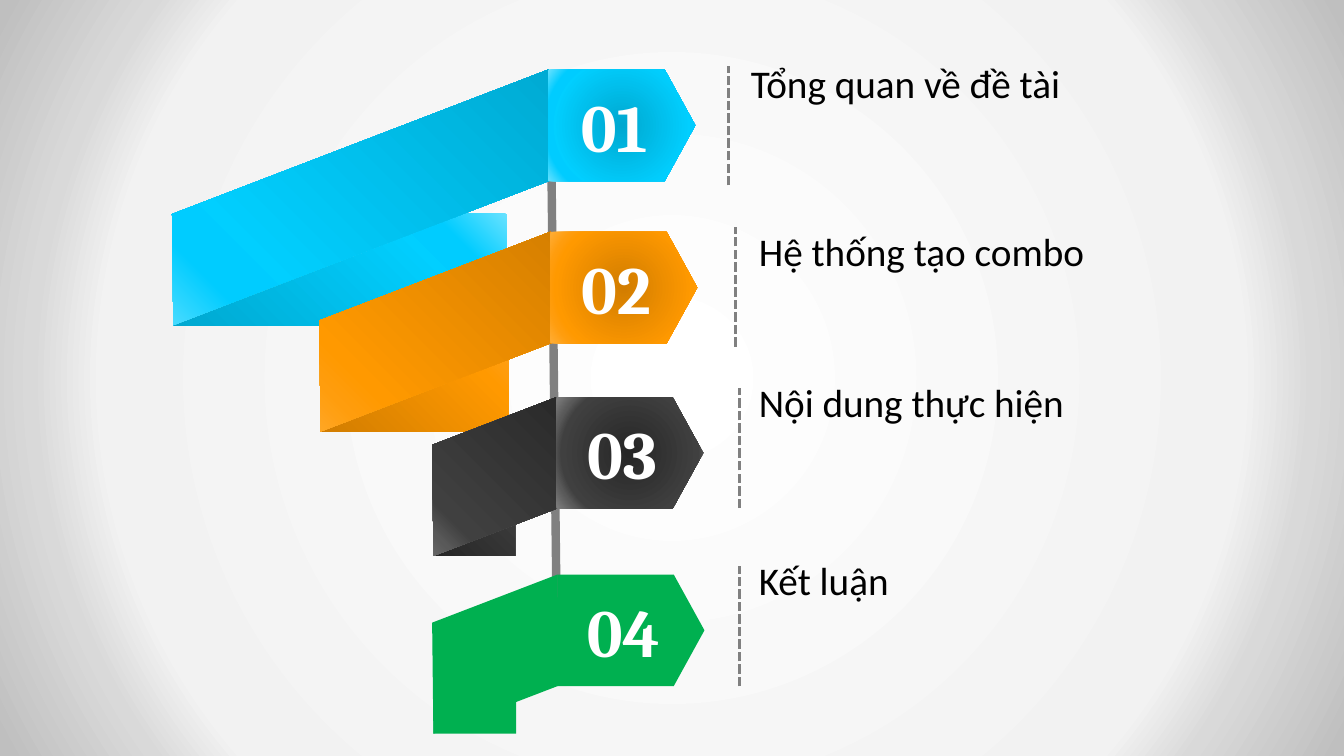
from math import cos, radians, tan

from lxml import etree
from pptx import Presentation
from pptx.dml.color import RGBColor
from pptx.enum.dml import MSO_LINE
from pptx.enum.shapes import MSO_CONNECTOR, MSO_SHAPE
from pptx.enum.text import MSO_ANCHOR, MSO_AUTO_SIZE, PP_ALIGN
from pptx.oxml.ns import qn
from pptx.util import Pt

STRAIGHT = MSO_CONNECTOR.STRAIGHT
RECTANGLE = MSO_SHAPE.RECTANGLE
PARALLELOGRAM = MSO_SHAPE.PARALLELOGRAM
PENTAGON = MSO_SHAPE.PENTAGON
DASHED = MSO_LINE.SQUARE_DOT

COLOURS = {"grey": "808080", "white": "FFFFFF", "black": "000000", "green": "00B050"}
GRADIENTS = {
    "background": ["FFFFFF", "F2F2F2", "D9D9D9", "BFBFBF"],
    "blue": ["00A8D0", "01CFFF", "00CCFF", "69E2FF"],
    "orange": ["D27D00", "FF9900", "FF9D0D", "FFAE37"],
    "charcoal": ["262626", "404040", "595959", "808080"],
}
# Left, top, right and bottom insets of the gradient's focus, in percent
CENTRE, BOTTOM_LEFT, TOP_RIGHT = (50, 50, 50, 50), (0, 100, 100, 0), (100, 0, 0, 100)

NUMBER_FONT = {"name": "Cambria", "size": Pt(48), "bold": True}
TOPIC_FONT = {"name": "Calibri", "size": Pt(28), "bold": False}

SLOPE = 21  # degrees by which the ribbons climb
FLAG_WIDTH, RIBBON_HEIGHT = 105, 79.7
STRIP_HEIGHT = RIBBON_HEIGHT * cos(radians(SLOPE))
STRIP_SKEW = 0.371
FOLD_INSET = 29.5
DIVIDER_HEIGHT = 85.7

# number, topic, colour, flag left, flag top, fold left, divider (x, top), topic (left, top)
ITEMS = [
    ("01", "Tổng quan về đề tài", "blue", 391.7, 49.7, 123.8, (520.6, 46.8), (529.2, 38.9)),
    ("02", "Hệ thống tạo combo", "orange", 393.1, 165.6, 229, (525.6, 162), (535, 159.1)),
    ("04", "Kết luận", "green", 398.2, 410.4, 309.6, (528.5, 404.6), (535, 393.8)),
    ("03", "Nội dung thực hiện", "charcoal", 397.4, 283.7, 309.6, (528.5, 277.2), (535, 266.4)),
]


def rgb(name):
    return RGBColor.from_string(COLOURS[name])


def make_radial(properties, name, focus, last_stop=100):
    """Swap the solid fill among the properties for a circular gradient."""
    solid = properties.find(qn("a:solidFill"))
    gradient = etree.Element(qn("a:gradFill"), rotWithShape="1")
    stops = etree.SubElement(gradient, qn("a:gsLst"))
    for position, colour in zip((0, 74, 83, last_stop), GRADIENTS[name]):
        stop = etree.SubElement(stops, qn("a:gs"), pos=str(position * 1000))
        etree.SubElement(stop, qn("a:srgbClr"), val=colour)
    circle = etree.SubElement(gradient, qn("a:path"), path="circle")
    insets = {side: str(share * 1000) for side, share in zip("ltrb", focus)}
    etree.SubElement(circle, qn("a:fillToRect"), insets)
    properties.replace(solid, gradient)


def add_line(slide, start, end, width):
    line = slide.shapes.add_connector(STRAIGHT, *map(Pt, (*start, *end)))
    line.line.color.rgb = rgb("grey")
    line.line.width = Pt(width)
    etree.SubElement(line._element.spPr, qn("a:effectLst"))
    return line


def add_panel(slide, preset, box, colour, focus):
    panel = slide.shapes.add_shape(preset, *map(Pt, box))
    panel.shadow.inherit = False
    panel.line.fill.background()
    panel.fill.solid()
    if colour in GRADIENTS:
        make_radial(panel._element.spPr, colour, focus)
    else:
        panel.fill.fore_color.rgb = rgb(colour)
    return panel


def write(paragraph, text, font, colour):
    run = paragraph.add_run()
    run.text = text
    for attribute, value in font.items():
        setattr(run.font, attribute, value)
    run.font.color.rgb = rgb(colour)


def add_ribbon(slide, number, colour, flag_left, flag_top, fold_left):
    """Draw the back fold, the climbing strip and the numbered flag."""
    span = flag_left - fold_left
    rise = span * tan(radians(SLOPE))
    fold_box = (fold_left, flag_top + rise, span - FOLD_INSET, RIBBON_HEIGHT)
    add_panel(slide, RECTANGLE, fold_box, colour, BOTTOM_LEFT)

    strip_width = span / cos(radians(SLOPE)) + STRIP_SKEW * STRIP_HEIGHT + 1
    strip_left = (fold_left + flag_left - strip_width) / 2
    strip_top = flag_top + (rise + RIBBON_HEIGHT - STRIP_HEIGHT) / 2
    strip_box = (strip_left, strip_top, strip_width, STRIP_HEIGHT)
    strip = add_panel(slide, PARALLELOGRAM, strip_box, colour, TOP_RIGHT)
    strip.adjustments[0] = STRIP_SKEW
    strip.rotation = 360 - SLOPE

    flag_box = (flag_left, flag_top, FLAG_WIDTH, RIBBON_HEIGHT)
    flag = add_panel(slide, PENTAGON, flag_box, colour, CENTRE)
    flag.adjustments[0] = 0.275
    flag.text_frame.vertical_anchor = MSO_ANCHOR.MIDDLE
    label = flag.text_frame.paragraphs[0]
    label.alignment = PP_ALIGN.CENTER
    write(label, number, NUMBER_FONT, "white")


def add_topic(slide, topic, divider, corner):
    """Draw the dashed divider and the topic beside it."""
    x, top = divider
    add_line(slide, (x, top + DIVIDER_HEIGHT), (x, top), 2.25).line.dash_style = DASHED
    frame = slide.shapes.add_textbox(*map(Pt, (*corner, 338.4, 41))).text_frame
    frame.word_wrap = True
    frame.auto_size = MSO_AUTO_SIZE.SHAPE_TO_FIT_TEXT
    write(frame.paragraphs[0], topic, TOPIC_FONT, "black")


def add_background(slide):
    slide.background.fill.solid()
    make_radial(slide._element.find(".//" + qn("p:bgPr")), "background", CENTRE, 99)


def main():
    deck = Presentation()
    deck.slide_width, deck.slide_height = Pt(960), Pt(540)
    slide = deck.slides.add_slide(deck.slide_layouts[6])
    add_background(slide)
    add_line(slide, (393.1, 50.4), (398.2, 489.6), 6)
    for number, topic, colour, flag_left, flag_top, fold_left, divider, corner in ITEMS:
        add_ribbon(slide, number, colour, flag_left, flag_top, fold_left)
        add_topic(slide, topic, divider, corner)
    deck.save("out.pptx")


if __name__ == "__main__":
    main()
